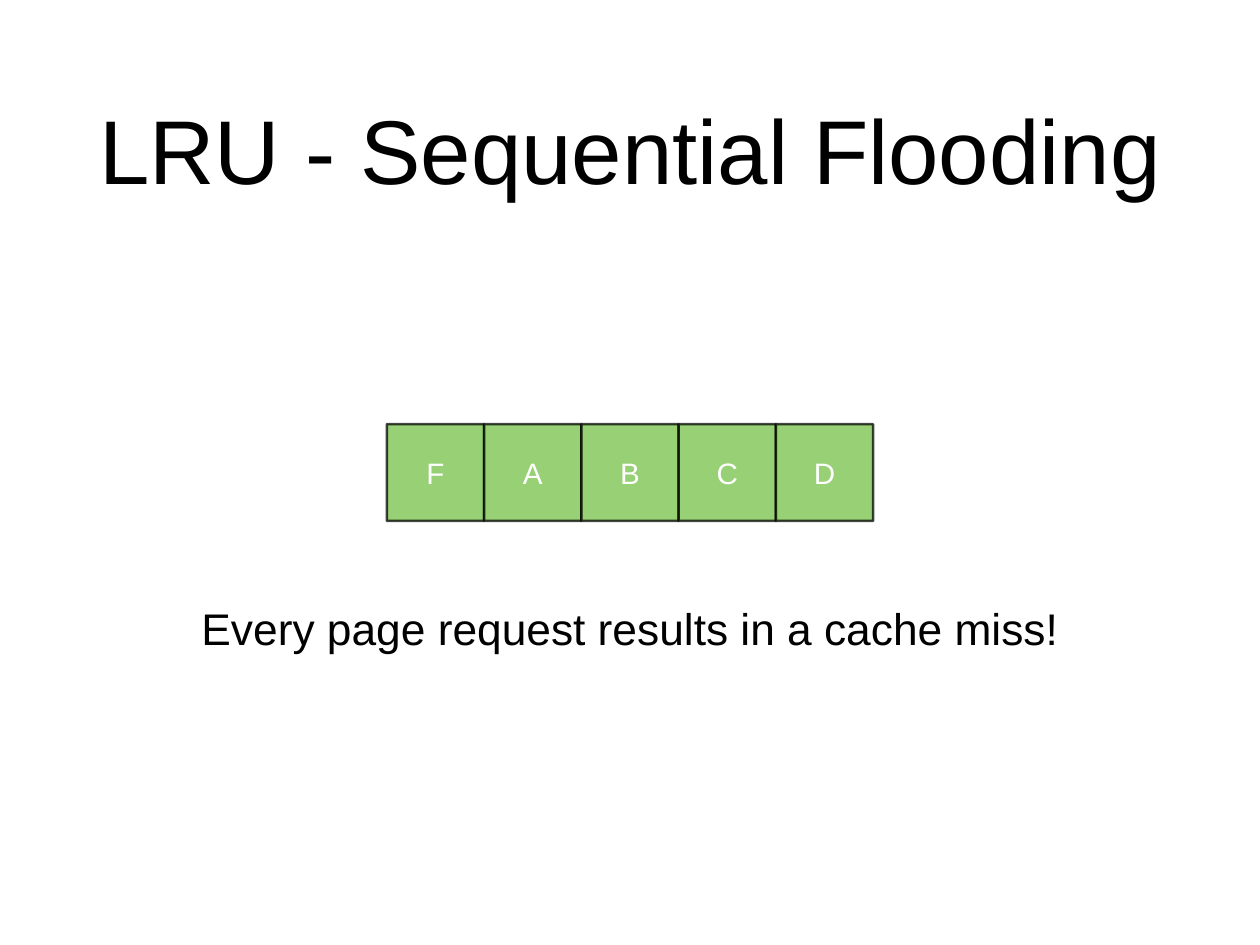
from lxml.etree import SubElement
from pptx import Presentation
from pptx.dml.color import RGBColor
from pptx.enum.shapes import MSO_SHAPE
from pptx.enum.text import MSO_ANCHOR, PP_ALIGN
from pptx.oxml.ns import qn
from pptx.util import Inches, Pt

PAGES = "FABCD"
CELL_WIDTH, CELL_HEIGHT = 7.72, 10.24
ROW_LEFT = 50 - len(PAGES) * CELL_WIDTH / 2
ROW_TOP = 44.89


def colour(hex_string):
    return RGBColor.from_string(hex_string)


class SlideBuilder:
    font_name = "Arial"
    text_colour = "000000"
    cell_text_colour = "FFFFFF"
    cell_fill = "70BF41"
    cell_line = "000000"
    cell_opacity = 72

    def __init__(self, presentation):
        self.width = presentation.slide_width
        self.height = presentation.slide_height
        self.slide = presentation.slides.add_slide(presentation.slide_layouts[6])

    def place(self, left, top, width, height):
        return (
            round(self.width * left / 100),
            round(self.height * top / 100),
            round(self.width * width / 100),
            round(self.height * height / 100),
        )

    def set_text(self, shape, text, size, text_colour, margin=0, wrap=True):
        frame = shape.text_frame
        frame_format = {
            "word_wrap": wrap,
            "vertical_anchor": MSO_ANCHOR.MIDDLE,
            "margin_left": Inches(margin),
            "margin_top": Inches(margin),
            "margin_right": Inches(margin),
            "margin_bottom": Inches(margin),
        }
        for name, value in frame_format.items():
            setattr(frame, name, value)
        paragraph = frame.paragraphs[0]
        paragraph.alignment = PP_ALIGN.CENTER
        run = paragraph.add_run()
        run.text = text
        for name, value in {"name": self.font_name, "size": Pt(size)}.items():
            setattr(run.font, name, value)
        run.font.color.rgb = colour(text_colour)

    def paint(self, fill, hex_string):
        fill.solid()
        fill.fore_color.rgb = colour(hex_string)

    def text(self, place, text, size, margin=0, wrap=True):
        shape = self.slide.shapes.add_textbox(*self.place(*place))
        self.set_text(shape, text, size, self.text_colour, margin, wrap)

    def cell(self, place, text):
        shape = self.slide.shapes.add_shape(MSO_SHAPE.RECTANGLE, *self.place(*place))
        shape.shadow.inherit = False
        self.paint(shape.fill, self.cell_fill)
        self.paint(shape.line.fill, self.cell_line)
        shape.line.width = Pt(2)
        for paint in shape.element.spPr.iter(qn("a:srgbClr")):
            SubElement(paint, qn("a:alpha"), val=str(self.cell_opacity * 1000))
        self.set_text(shape, text, 24, self.cell_text_colour)


def main():
    presentation = Presentation()
    presentation.slide_width = Inches(14.22)
    presentation.slide_height = Inches(10.67)
    builder = SlideBuilder(presentation)
    builder.text((7.31, 4.59, 85.37, 22.12), "LRU - Sequential Flooding", 73.6)
    for column, page in enumerate(PAGES):
        left = ROW_LEFT + column * CELL_WIDTH
        builder.cell((left, ROW_TOP, CELL_WIDTH, CELL_HEIGHT), page)
    builder.text(
        (15.12, 63.07, 69.76, 6.65),
        "Every page request results in a cache miss!",
        36,
        margin=0.06,
        wrap=False,
    )
    presentation.save("out.pptx")


if __name__ == "__main__":
    main()
